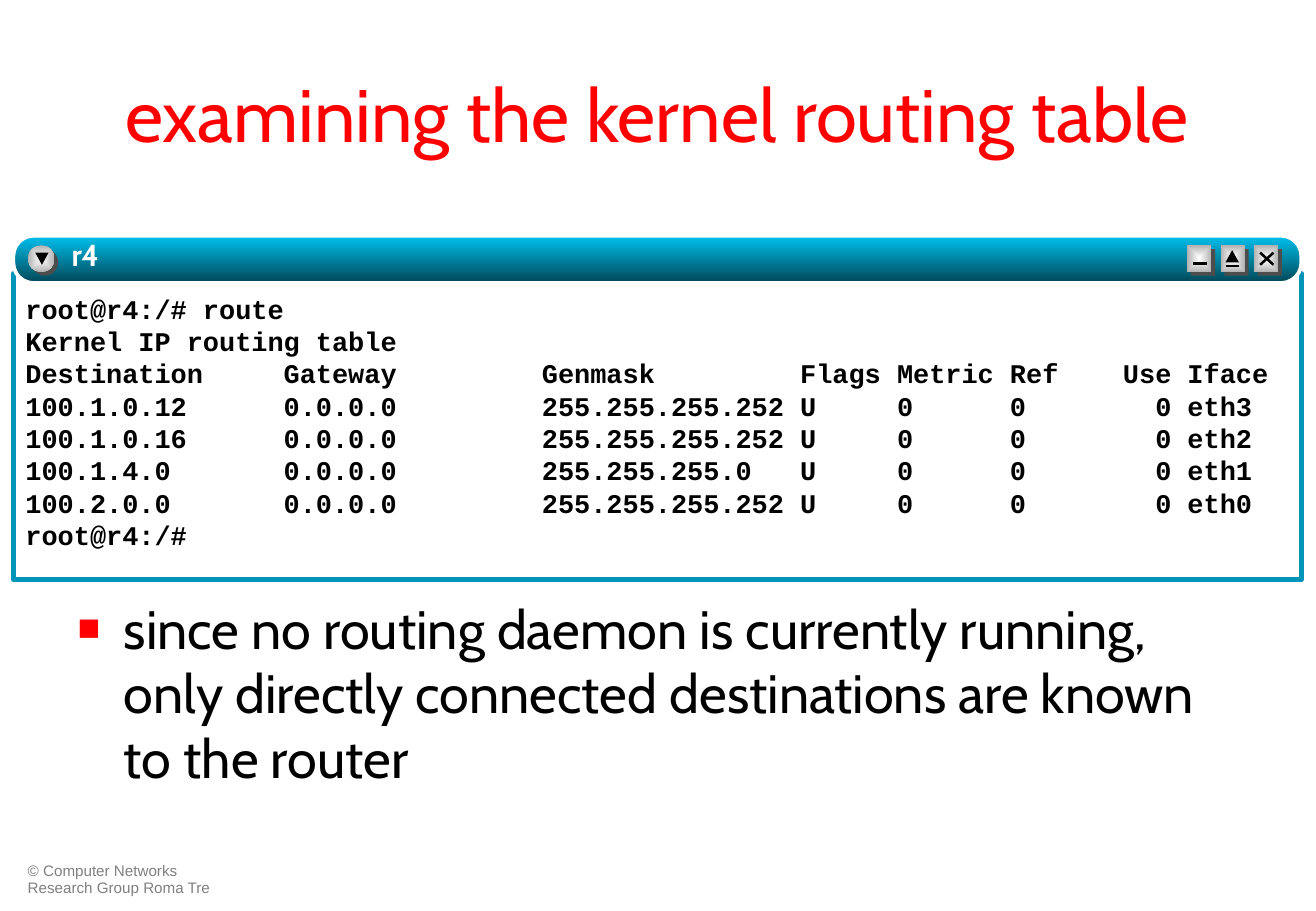
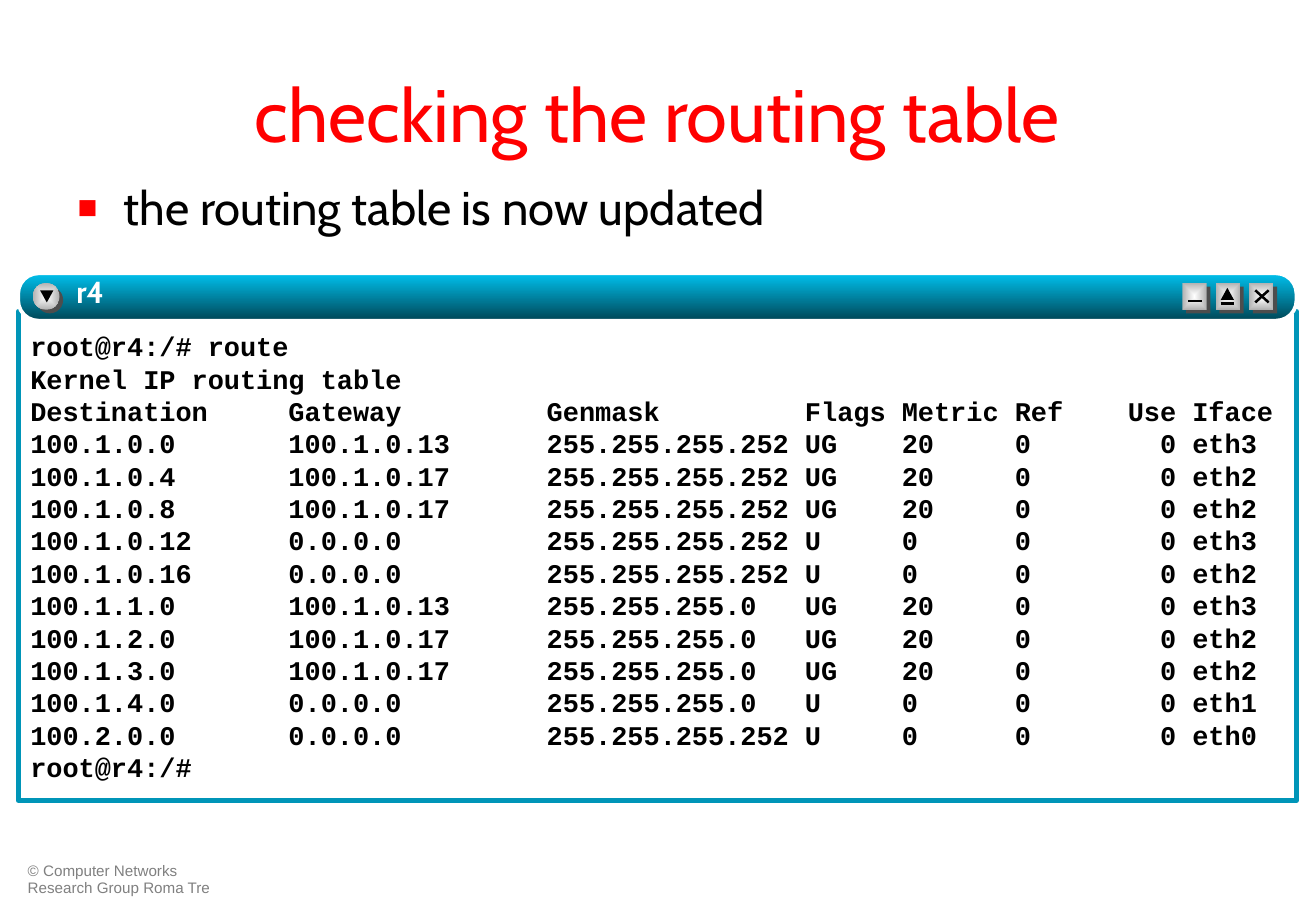
from dataclasses import dataclass
from typing import NamedTuple

from lxml import etree
from pptx import Presentation, util as u
from pptx.dml.color import RGBColor
from pptx.enum import shapes, text
from pptx.oxml.ns import qn

CELL = u.Inches(0.1)
COLUMNS, ROWS = 108.4, 75
SHAPE = shapes.MSO_SHAPE


@dataclass(frozen=True)
class Theme:
    """Colours, fonts and type sizes shared by the slides."""

    title: str = "FF0000"
    ink: str = "000000"
    white: str = "FFFFFF"
    footer: str = "808080"
    frame: str = "0095B8"
    bar: tuple[str, str] = ("00C1EE", "004656")
    button: tuple[str, str] = ("FFFFFF", "B2B2B2")
    button_shade: str = "4D4D4D"
    sans: str = "Cabin"
    mono: str = "Courier New"
    small: str = "Arial"
    title_size: float = 44
    host_size: float = 18
    code_size: float = 16
    code_pitch: float = 19.2
    footer_size: float = 9


THEME = Theme()


class Box(NamedTuple):
    """A rectangle measured in grid cells."""

    left: float
    top: float
    width: float
    height: float


class Route(NamedTuple):
    """One line of the routing table."""

    destination: str
    gateway: str
    genmask: str
    flags: str
    metric: str
    iface: str
    ref: str = "0"
    use: str = "0"


class Button(NamedTuple):
    """A window button, with its strokes and triangle relative to its corner."""

    offset: float
    outline: SHAPE
    width: float
    strokes: tuple[tuple[float, float, float, float], ...] = ()
    triangle: tuple[float, float] | None = None
    turn: int = 0


@dataclass(frozen=True)
class Lesson:
    """The content and arrangement of one slide."""

    title: str
    point: str
    point_box: Box
    point_size: float
    point_spacing: float
    window: Box
    routes: tuple[Route, ...]


HEADER = Route("Destination", "Gateway", "Genmask", "Flags", "Metric", "Iface", "Ref", "Use")
PROMPT = "root@r4:/#"
HOST = "r4"
TITLE_BOX = Box(5.4, 3, 97.5, 12.5)
FOOTER_BOX = Box(1.3, 70.6, 18.8, 3.6)
BAR_HEIGHT = 3.9
BAR_OVERLAP = 0.75
MENU = Button(1.2, SHAPE.OVAL, 2.2, triangle=(0.6, 0.6), turn=180)
CONTROLS = (
    Button(-9.4, SHAPE.RECTANGLE, 2, strokes=((0.5, 1.5, 1.6, 1.5),)),
    Button(-6.65, SHAPE.RECTANGLE, 2, strokes=((0.4, 1.7, 1.5, 1.7),), triangle=(0.4, 0.4)),
    Button(-3.9, SHAPE.RECTANGLE, 2, strokes=((0.5, 1.6, 1.6, 0.6), (0.5, 0.6, 1.6, 1.6))),
)

NARROW, WIDE = "255.255.255.252", "255.255.255.0"
LOCAL, VIA_ETH3, VIA_ETH2 = "0.0.0.0", "100.1.0.13", "100.1.0.17"
DIRECT = (
    Route("100.1.0.12", LOCAL, NARROW, "U", "0", "eth3"),
    Route("100.1.0.16", LOCAL, NARROW, "U", "0", "eth2"),
    Route("100.1.4.0", LOCAL, WIDE, "U", "0", "eth1"),
    Route("100.2.0.0", LOCAL, NARROW, "U", "0", "eth0"),
)
LEARNED_NARROW = (
    Route("100.1.0.0", VIA_ETH3, NARROW, "UG", "20", "eth3"),
    Route("100.1.0.4", VIA_ETH2, NARROW, "UG", "20", "eth2"),
    Route("100.1.0.8", VIA_ETH2, NARROW, "UG", "20", "eth2"),
)
LEARNED_WIDE = (
    Route("100.1.1.0", VIA_ETH3, WIDE, "UG", "20", "eth3"),
    Route("100.1.2.0", VIA_ETH2, WIDE, "UG", "20", "eth2"),
    Route("100.1.3.0", VIA_ETH2, WIDE, "UG", "20", "eth2"),
)

LESSONS = (
    Lesson(
        "examining the kernel routing table",
        "since no routing daemon is currently running, only directly connected "
        "destinations are known to the router",
        Box(5.4, 48.5, 97.5, 19.7), 32, 1, Box(1.1, 19.4, 106.1, 28.3), DIRECT,
    ),
    Lesson(
        "checking the routing table",
        "the routing table is now updated",
        Box(5.4, 14.7, 97.5, 5.5), 28, 0.9, Box(1.5, 22.5, 105.3, 43.4),
        LEARNED_NARROW + DIRECT[:2] + LEARNED_WIDE + DIRECT[2:],
    ),
)


def cells(count: float) -> u.Emu:
    """Turn grid cells into a length."""
    return u.Emu(round(count * CELL))


def rgb(code: str) -> RGBColor:
    """Read a hexadecimal colour."""
    return RGBColor.from_string(code)


def place(shape, box: Box) -> None:
    """Move a shape onto the grid."""
    shape.left, shape.top, shape.width, shape.height = map(cells, box)


def write(paragraph, words: str, face: str, size: float, colour: str, bold: bool = False):
    """Add one formatted run."""
    run = paragraph.add_run()
    run.text = words
    run.font.name, run.font.size, run.font.bold = face, u.Pt(size), bold
    run.font.color.rgb = rgb(colour)
    return run


def add_text_box(slide, box: Box, insets: tuple[float, float, float, float]):
    """Add a wrapping text box with insets in cells."""
    holder = slide.shapes.add_textbox(*map(cells, box))
    frame = holder.text_frame
    frame.word_wrap = True
    frame.margin_left, frame.margin_top, frame.margin_right, frame.margin_bottom = map(cells, insets)
    return holder


def add_solid(slide, kind: SHAPE, box: Box, colour: str | None = None):
    """Add a flat shape without outline."""
    shape = slide.shapes.add_shape(kind, *map(cells, box))
    shape.shadow.inherit = False
    shape.line.fill.background()
    if colour is None:
        shape.fill.background()
    else:
        shape.fill.solid()
        shape.fill.fore_color.rgb = rgb(colour)
    return shape


def shade(shape, colours: tuple[str, str], from_centre: bool = False) -> None:
    """Fill a shape with a gradient, downwards or from its centre."""
    shape.fill.gradient()
    shape.fill.gradient_angle = 270
    for stop, colour, position in zip(shape.fill.gradient_stops, colours, (0, 1)):
        stop.color.rgb, stop.position = rgb(colour), position
    if from_centre:
        linear = next(shape.element.iter(qn("a:lin")))
        radial = etree.Element(qn("a:path"), {"path": "rect"})
        etree.SubElement(radial, qn("a:fillToRect"), dict.fromkeys("ltrb", "50000"))
        linear.getparent().replace(linear, radial)


def add_stroke(slide, ends: tuple[float, float, float, float]) -> None:
    """Draw a thin black line."""
    stroke = slide.shapes.add_connector(shapes.MSO_CONNECTOR.STRAIGHT, *map(cells, ends))
    stroke.line.color.rgb, stroke.line.width = rgb(THEME.ink), u.Pt(1.5)
    etree.SubElement(stroke.element.spPr, qn("a:effectLst"))


def add_button(slide, button: Button, edge: float, top: float) -> None:
    """Draw a raised button with its symbol."""
    left = edge + button.offset
    face = Box(left, top, button.width, 2.2)
    add_solid(slide, button.outline, face._replace(left=left + 0.3, top=top + 0.3), THEME.button_shade)
    shade(add_solid(slide, button.outline, face), THEME.button, from_centre=True)
    for x1, y1, x2, y2 in button.strokes:
        add_stroke(slide, (left + x1, top + y1, left + x2, top + y2))
    if button.triangle:
        x, y = button.triangle
        arrow = Box(left + x, top + y, 1.1, 1)
        add_solid(slide, SHAPE.ISOSCELES_TRIANGLE, arrow, THEME.ink).rotation = button.turn


def add_host_name(slide, box: Box) -> None:
    """Write the host name with a text shadow."""
    paragraph = add_text_box(slide, box, (0, 0, 0, 0)).text_frame.paragraphs[0]
    host = write(paragraph, HOST, THEME.sans, THEME.host_size, THEME.white, bold=True)
    effects = etree.Element(qn("a:effectLst"))
    shadow = etree.SubElement(effects, qn("a:outerShdw"), {"dist": "25400", "dir": "2700000"})
    etree.SubElement(shadow, qn("a:srgbClr"), {"val": THEME.ink})
    host.font.fill
    next(host.font.color and paragraph._p.iter(qn("a:solidFill"))).addnext(effects)


def route_line(route: Route) -> str:
    """Align a route in the terminal's columns."""
    return (
        f"{route.destination:<16}{route.gateway:<16}{route.genmask:<16}{route.flags:<6}"
        f"{route.metric:<7}{route.ref:<7}{route.use:>3} {route.iface}"
    )


def add_terminal(slide, window: Box, routes: tuple[Route, ...]) -> None:
    """Draw the terminal window with its routing table."""
    left, top, width, height = window
    drop = BAR_HEIGHT - BAR_OVERLAP
    screen = Box(left, top + drop, width, height - drop)
    frame = add_solid(slide, SHAPE.RECTANGLE, screen)
    frame.line.color.rgb, frame.line.width = rgb(THEME.frame), u.Pt(3)

    console = add_text_box(slide, screen._replace(left=left + 0.2), (0.8, 1.5, 0.8, 0.4)).text_frame
    lines = [f"{PROMPT} route", "Kernel IP routing table", *map(route_line, (HEADER, *routes)), PROMPT]
    for number, line in enumerate(lines):
        paragraph = console.add_paragraph() if number else console.paragraphs[0]
        paragraph.line_spacing = u.Pt(THEME.code_pitch)
        write(paragraph, line, THEME.mono, THEME.code_size, THEME.ink, bold=True)

    bar = add_solid(slide, SHAPE.ROUNDED_RECTANGLE, Box(left, top, width, BAR_HEIGHT))
    bar.adjustments[0] = 0.43
    shade(bar, THEME.bar)
    bar.line.color.rgb, bar.line.width = rgb(THEME.white), u.Pt(2.25)
    add_button(slide, MENU, left, top + 0.8)
    for control in CONTROLS:
        add_button(slide, control, left + width, top + 0.8)
    add_host_name(slide, Box(left + 4.8, top, 72.4, BAR_HEIGHT))


def add_point(slide, lesson: Lesson) -> None:
    """Write the bulleted point in the body placeholder."""
    body = slide.placeholders[1]
    place(body, lesson.point_box)
    body.text_frame.auto_size = text.MSO_AUTO_SIZE.NONE
    paragraph = body.text_frame.paragraphs[0]
    paragraph.space_before = u.Pt(0)
    paragraph.line_spacing = lesson.point_spacing
    properties = paragraph._p.get_or_add_pPr()
    properties.set("marL", str(cells(3.8)))
    properties.set("indent", str(-cells(3.8)))
    colour = etree.SubElement(properties, qn("a:buClr"))
    etree.SubElement(colour, qn("a:srgbClr"), {"val": THEME.title})
    etree.SubElement(properties, qn("a:buSzPct"), {"val": "70000"})
    etree.SubElement(properties, qn("a:buFont"), {"typeface": THEME.small})
    etree.SubElement(properties, qn("a:buChar"), {"char": "■"})
    write(paragraph, lesson.point, THEME.sans, lesson.point_size, THEME.ink)


def add_lesson(deck, layout, lesson: Lesson):
    """Build one slide."""
    slide = deck.slides.add_slide(layout)
    heading = slide.shapes.title.text_frame
    heading.auto_size = text.MSO_AUTO_SIZE.NONE
    write(heading.paragraphs[0], lesson.title, THEME.sans, THEME.title_size, THEME.title)
    add_point(slide, lesson)
    add_terminal(slide, lesson.window, lesson.routes)
    return slide


def share_footer(slide, layout) -> None:
    """Put the copyright line on the layout."""
    footer = add_text_box(slide, FOOTER_BOX, (1, 0.5, 1, 0.5))
    paragraph = footer.text_frame.paragraphs[0]
    paragraph.line_spacing = 0.9
    write(paragraph, "© Computer Networks Research Group Roma Tre",
          THEME.small, THEME.footer_size, THEME.footer)
    layout.shapes.element.append(footer.element)


def main() -> None:
    """Build and save the presentation."""
    deck = Presentation()
    deck.slide_width, deck.slide_height = cells(COLUMNS), cells(ROWS)
    layout = deck.slide_layouts[1]
    place(layout.placeholders[0], TITLE_BOX)
    slides = [add_lesson(deck, layout, lesson) for lesson in LESSONS]
    share_footer(slides[0], layout)
    deck.save("out.pptx")


if __name__ == "__main__":
    main()
